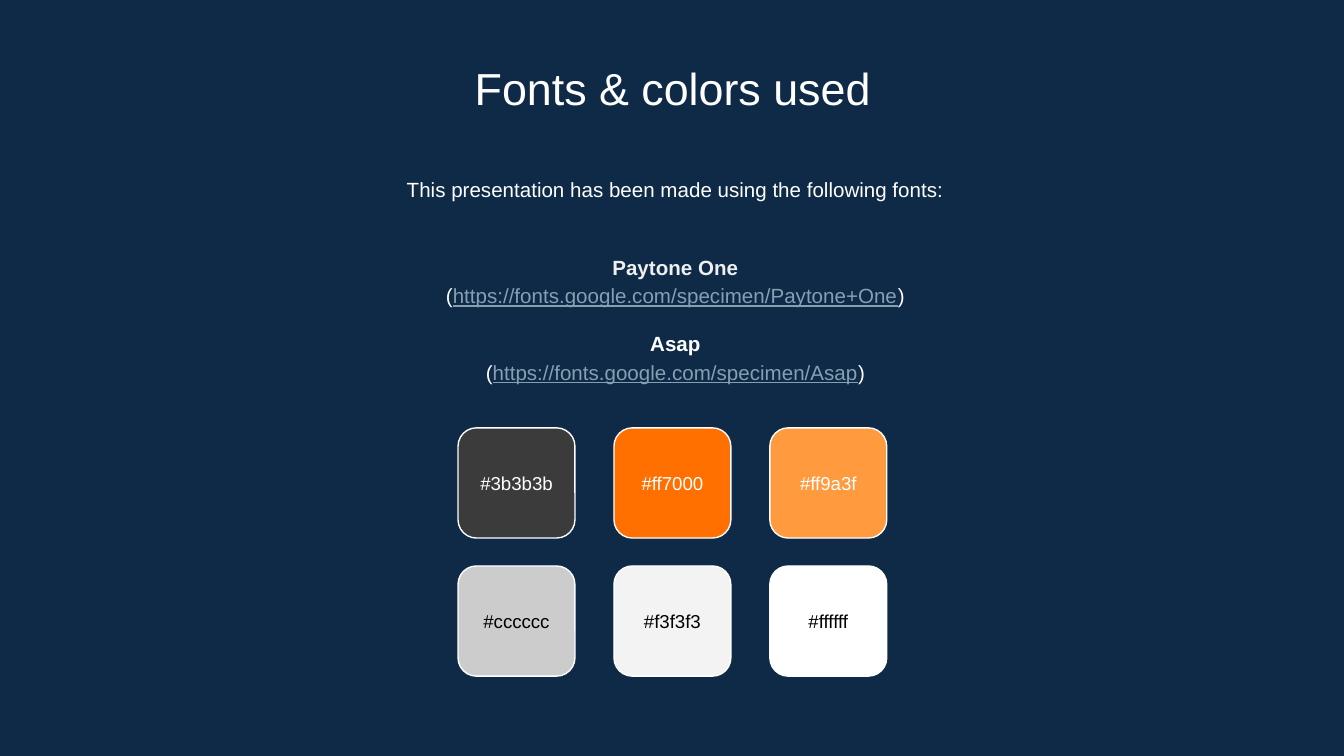
from pptx import Presentation
from pptx.util import Pt
from pptx.dml.color import RGBColor as Rgb
from pptx.enum.shapes import MSO_SHAPE as Shape
from pptx.enum.text import PP_ALIGN as Align, MSO_ANCHOR as Anchor, MSO_AUTO_SIZE as Fit

TITLE = "Fonts & colors used"
INTRO = "This presentation has been made using the following fonts:"
FONTS = [
    ("Paytone One", "https://fonts.google.com/specimen/Paytone+One", "pale"),
    ("Asap", "https://fonts.google.com/specimen/Asap", "white"),
]
SWATCHES = [
    [("#3b3b3b", "white"), ("#ff7000", "white"), ("#ff9a3f", "white")],
    [("#cccccc", "black"), ("#f3f3f3", "black"), ("#ffffff", "black")],
]
THEME = {
    "font": "Arial",
    "back": "0E2A47", "white": "FFFFFF", "pale": "EFEFEF",
    "link": "869FB2", "black": "000000",
    "head": 24, "body": 11, "label": 10,
}
WIDE, HIGH = 720, 405
TILE_W, TILE_H = 62.64, 59.04
STEP_X, STEP_Y = 83.52, 74
GRID_X, GRID_Y = 245.4, 229.2
INSET = 7.2


def color(name):
    return Rgb.from_string(THEME[name])


def style(para, size, ink, bold=False, lead=None):
    para.alignment = Align.CENTER
    para.line_spacing = lead
    font = para.font
    font.name, font.size, font.bold = THEME["font"], Pt(THEME[size]), bold
    font.color.rgb = color(ink)


def setup(frame, inset, anchor):
    frame.word_wrap = True
    frame.auto_size = Fit.NONE
    frame.vertical_anchor = anchor
    frame.margin_left = frame.margin_right = Pt(inset)
    frame.margin_top = frame.margin_bottom = Pt(inset)
    return frame


def add_box(slide, top, high, anchor):
    box = slide.shapes.add_textbox(Pt(84.24), Pt(top), Pt(555.12), Pt(high))
    return setup(box.text_frame, INSET, anchor)


def add_title(slide):
    title = slide.shapes.title
    title.left, title.top = Pt(82.8), Pt(25.2)
    title.width, title.height = Pt(555.12), Pt(38.16)
    frame = setup(title.text_frame, INSET, Anchor.TOP)
    frame.text = TITLE
    style(frame.paragraphs[0], "head", "white")


def add_fonts(slide):
    intro = add_box(slide, 85.68, 34.56, Anchor.TOP)
    intro.text = INTRO
    style(intro.paragraphs[0], "body", "white", lead=1.15)

    frame = add_box(slide, 120.96, 98.64, Anchor.MIDDLE)
    for num, (name, url, ink) in enumerate(FONTS):
        para = frame.add_paragraph() if num else frame.paragraphs[0]
        para.text = name
        style(para, "body", ink, True, 1.15)
        if num:
            para.space_before = Pt(10.6)
        para = frame.add_paragraph()
        style(para, "body", "white", lead=1.15)
        for text in ("(", url, ")"):
            run = para.add_run()
            run.text = text
            if text == url:
                run.font.underline = True
                run.font.color.rgb = color("link")


def add_tile(slide, left, top, code, ink):
    tile = slide.shapes.add_shape(
        Shape.ROUNDED_RECTANGLE, Pt(left), Pt(top), Pt(TILE_W), Pt(TILE_H))
    tile.shadow.inherit = False
    tile.fill.solid()
    tile.fill.fore_color.rgb = Rgb.from_string(code[1:].upper())
    tile.line.color.rgb = color("white")
    tile.line.width = Pt(0.75)
    frame = setup(tile.text_frame, 0, Anchor.MIDDLE)
    frame.text = code
    style(frame.paragraphs[0], "label", ink)


def main():
    deck = Presentation()
    deck.slide_width, deck.slide_height = Pt(WIDE), Pt(HIGH)
    slide = deck.slides.add_slide(deck.slide_layouts[5])
    slide.background.fill.solid()
    slide.background.fill.fore_color.rgb = color("back")
    add_title(slide)
    add_fonts(slide)
    for row, tiles in enumerate(SWATCHES):
        for col, (code, ink) in enumerate(tiles):
            add_tile(slide, GRID_X + col * STEP_X, GRID_Y + row * STEP_Y, code, ink)
    deck.save("out.pptx")


if __name__ == "__main__":
    main()
